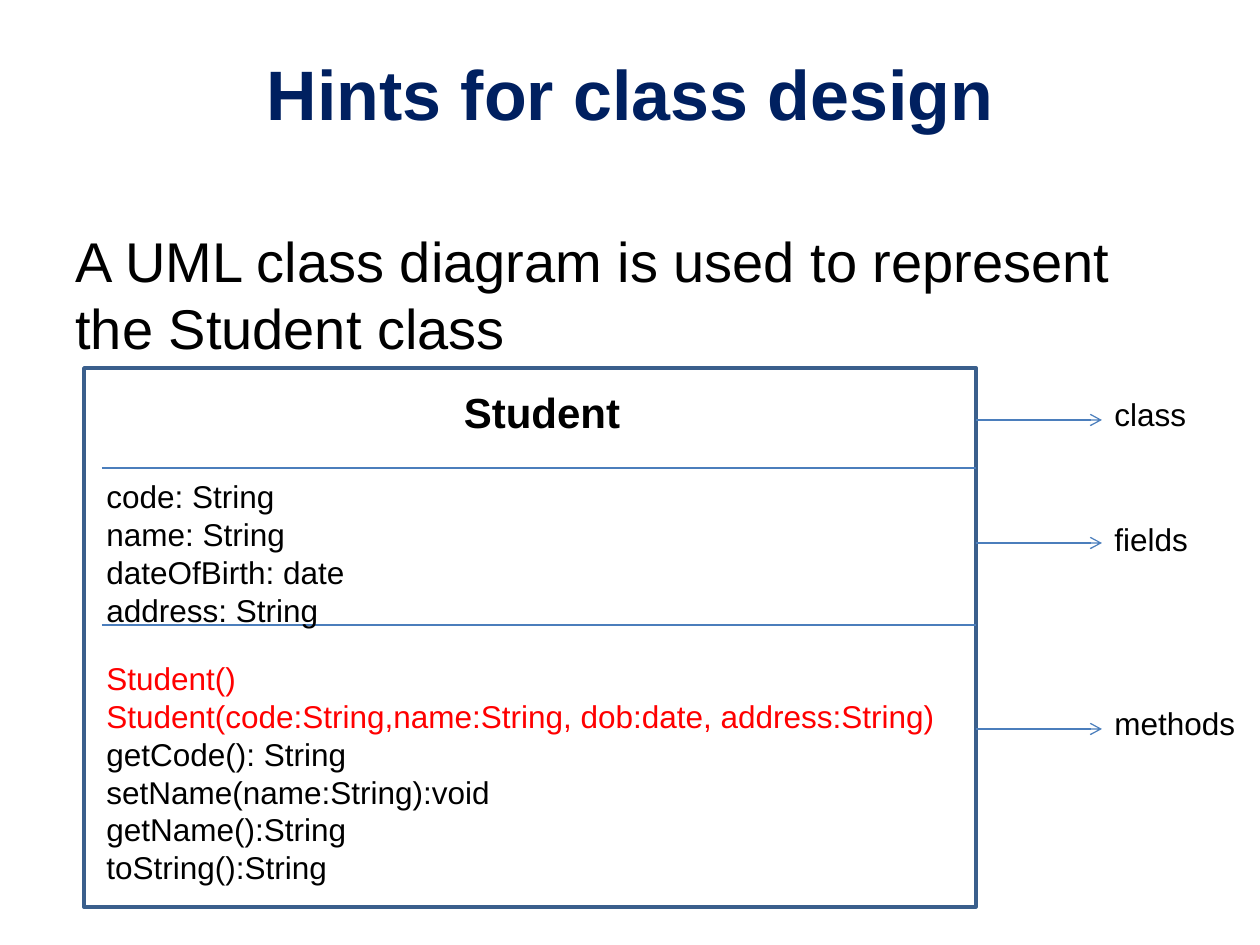
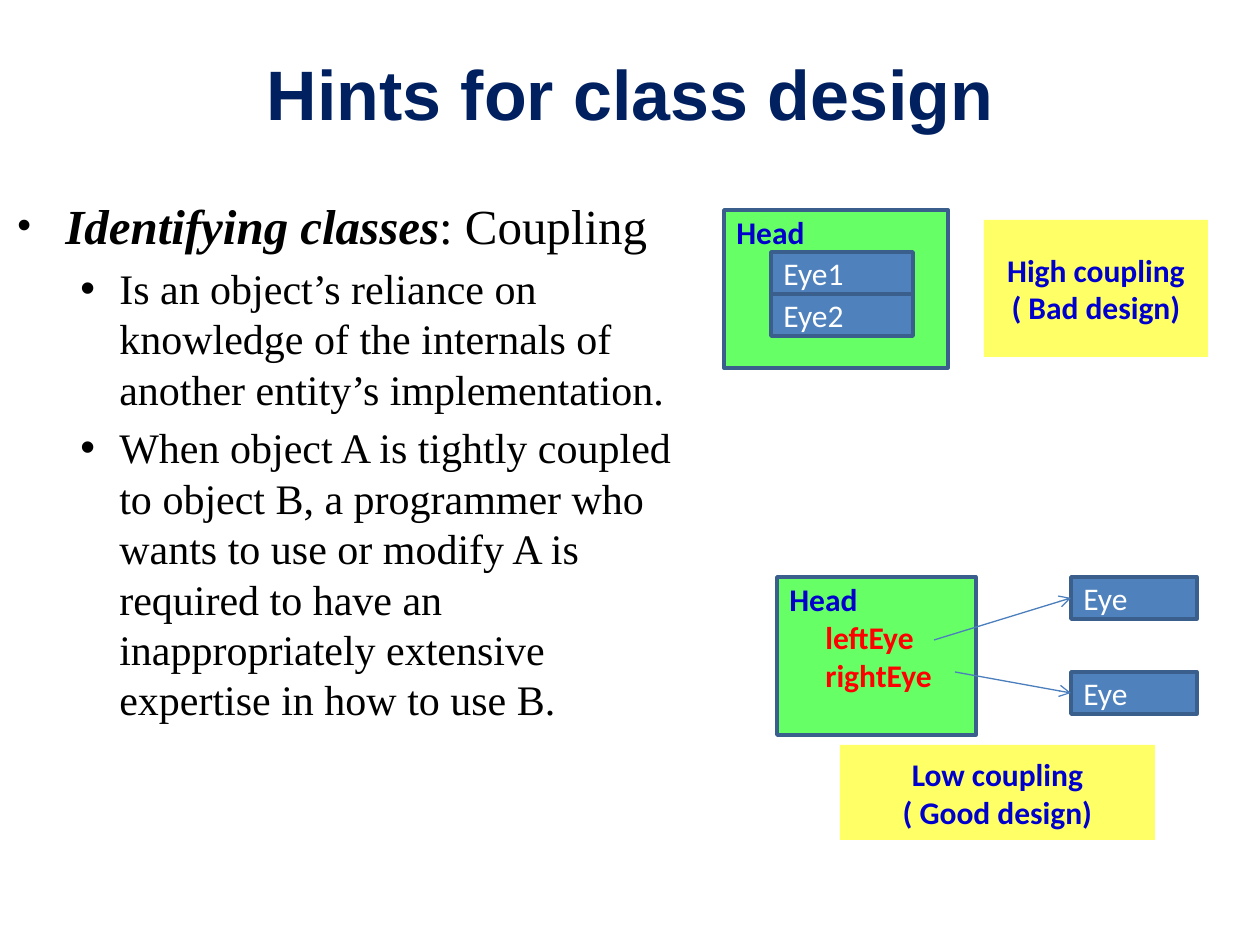
"""Build two slides on class design: a UML class diagram and a coupling comparison."""
from lxml import etree
from pptx import Presentation
from pptx.dml.color import RGBColor
from pptx.enum.shapes import MSO_CONNECTOR, MSO_SHAPE
from pptx.enum.text import MSO_ANCHOR, PP_ALIGN
from pptx.oxml.ns import qn
from pptx.util import Pt

RECTANGLE = MSO_SHAPE.RECTANGLE
STRAIGHT = MSO_CONNECTOR.STRAIGHT
TOP, MIDDLE = MSO_ANCHOR.TOP, MSO_ANCHOR.MIDDLE
LEFT, CENTER = PP_ALIGN.LEFT, PP_ALIGN.CENTER

PX = 914400 / 126
hex_color = RGBColor.from_string
NAVY, BLACK, WHITE, RED = "002060", "000000", "FFFFFF", "FF0000"
INK, GREEN, YELLOW, BLUE = "0000CC", "66FF66", "FFFF66", "4F81BD"
OUTLINE, RULE = "3A5F8C", "4B7EBC"
SANS, LABEL, SERIF = "Arial", "Calibri", "Times New Roman"


def add_box(page, place, lines=(), size=18, font=SANS, color=BLACK, bold=False,
            align=LEFT, anchor=TOP, fill=None, outline=None):
    left, top, width, height = [round(length * PX) for length in place]
    if fill or outline:
        box = page.shapes.add_shape(RECTANGLE, left, top, width, height)
        box.shadow.inherit = False
        if fill:
            box.fill.solid()
            box.fill.fore_color.rgb = hex_color(fill)
        else:
            box.fill.background()
        if outline:
            box.line.color.rgb = hex_color(outline)
            box.line.width = Pt(2)
        else:
            box.line.fill.background()
    else:
        box = page.shapes.add_textbox(left, top, width, height)
    frame = box.text_frame
    frame.word_wrap = True
    frame.vertical_anchor = anchor
    frame.text = "\n".join(lines)
    for para in frame.paragraphs:
        para.alignment = align
        for span in para.runs:
            span.font.name = font
            span.font.size = Pt(size)
            span.font.bold = bold
            span.font.color.rgb = hex_color(color)
    return box


def add_line(page, start, end, arrow=False):
    ends = [round(length * PX) for length in (*start, *end)]
    line = page.shapes.add_connector(STRAIGHT, *ends)
    line.line.color.rgb = hex_color(RULE)
    line.line.width = Pt(0.75)
    if arrow:
        etree.SubElement(line.line._get_or_add_ln(), qn("a:tailEnd"), type="arrow")
    etree.SubElement(line._element.spPr, qn("a:effectLst"))


deck = Presentation()
deck.slide_width = round(1260 * PX)
deck.slide_height = round(945 * PX)
pages = [deck.slides.add_slide(deck.slide_layouts[6]) for _ in range(2)]
for page in pages:
    add_box(page, (63, 38, 1134, 110), ["Hints for class design"], size=40,
            color=NAVY, bold=True, align=CENTER, anchor=MIDDLE)
uml_page, coupling_page = pages

intro = add_box(uml_page, (63, 220, 1134, 168),
                ["A UML class diagram is used to represent the Student class"], size=32)
intro.text_frame.paragraphs[0].space_before = Pt(6.4)

add_box(uml_page, (84, 368, 892, 539), outline=OUTLINE)
add_box(uml_page, (442, 380, 200, 63), ["Student"], size=24, bold=True, align=CENTER)
for divider in (468, 625):
    add_line(uml_page, (102, divider), (976, divider))

add_box(uml_page, (94, 471, 483, 165),
        ["code: String", "name: String", "dateOfBirth: date", "address: String"])
methods = add_box(uml_page, (94, 653, 876, 242), [
    "Student()",
    "Student(code:String,name:String, dob:date, address:String)",
    "getCode(): String",
    "setName(name:String):void",
    "getName():String",
    "toString():String",
])
for constructor in methods.text_frame.paragraphs[:2]:
    constructor.runs[0].font.color.rgb = hex_color(RED)

for part, arrow_y, label_top in (("class", 420, 389), ("fields", 543, 514),
                                 ("methods", 729, 698)):
    add_line(uml_page, (976, arrow_y), (1102, arrow_y), arrow=True)
    add_box(uml_page, (1102, label_top, 152, 50), [part])

definition = add_box(coupling_page, (5, 189, 693, 567), [
    "Identifying classes",
    "Is an object’s reliance on knowledge of the internals of another entity’s implementation.",
    "When object A is tightly coupled to object B, a programmer who wants to use or modify A "
    "is required to have an inappropriately extensive expertise in how to use B.",
], size=24, font=SERIF)
topic, *details = definition.text_frame.paragraphs
term = topic.runs[0]
term.font.bold = term.font.italic = True
rest = topic.add_run()
rest.text = ": Coupling"
rest.font.name = SERIF
rest.font.color.rgb = hex_color(BLACK)
for span in topic.runs:
    span.font.size = Pt(28)

bullets = [(topic, 48, 48, 80, 5.6)] + [(detail, 102, 39, 100, 4.8) for detail in details]
for para, margin, hanging, percent, gap in bullets:
    para.space_before = Pt(gap)
    properties = para._p.get_or_add_pPr()
    properties.set("marL", str(round(margin * PX)))
    properties.set("indent", str(-round(hanging * PX)))
    etree.SubElement(properties, qn("a:buSzPct"), val=str(percent * 1000))
    etree.SubElement(properties, qn("a:buFont"), typeface=SANS)
    etree.SubElement(properties, qn("a:buChar"), char="•")

heads = [
    ((724, 210, 224, 158), ["Head"]),
    ((777, 577, 199, 158), ["Head", "leftEye", "rightEye"]),
]
for place, lines in heads:
    head = add_box(coupling_page, place, lines, font=LABEL, color=INK, bold=True,
                   fill=GREEN, outline=OUTLINE)
    head.text_frame.margin_top = round(3 * PX)
    for field in head.text_frame.paragraphs[1:]:
        field._p.get_or_add_pPr().set("marL", str(round(36 * PX)))
        field.runs[0].font.color.rgb = hex_color(RED)

eyes = [("Eye1", 771, 252, 142), ("Eye2", 771, 294, 142),
        ("Eye", 1071, 577, 126), ("Eye", 1071, 672, 126)]
for name, left, top, width in eyes:
    add_box(coupling_page, (left, top, width, 42), [name], font=LABEL, color=WHITE,
            anchor=MIDDLE, fill=BLUE, outline=OUTLINE)

verdicts = [
    ((984, 220, 224, 137), ["High coupling", "( Bad design)"]),
    ((840, 745, 315, 95), ["Low coupling", "( Good design)"]),
]
for place, lines in verdicts:
    add_box(coupling_page, place, lines, font=LABEL, color=INK, bold=True,
            align=CENTER, anchor=MIDDLE, fill=YELLOW)

add_line(coupling_page, (934, 640), (1071, 598), arrow=True)
add_line(coupling_page, (955, 672), (1071, 693), arrow=True)

deck.save("out.pptx")
